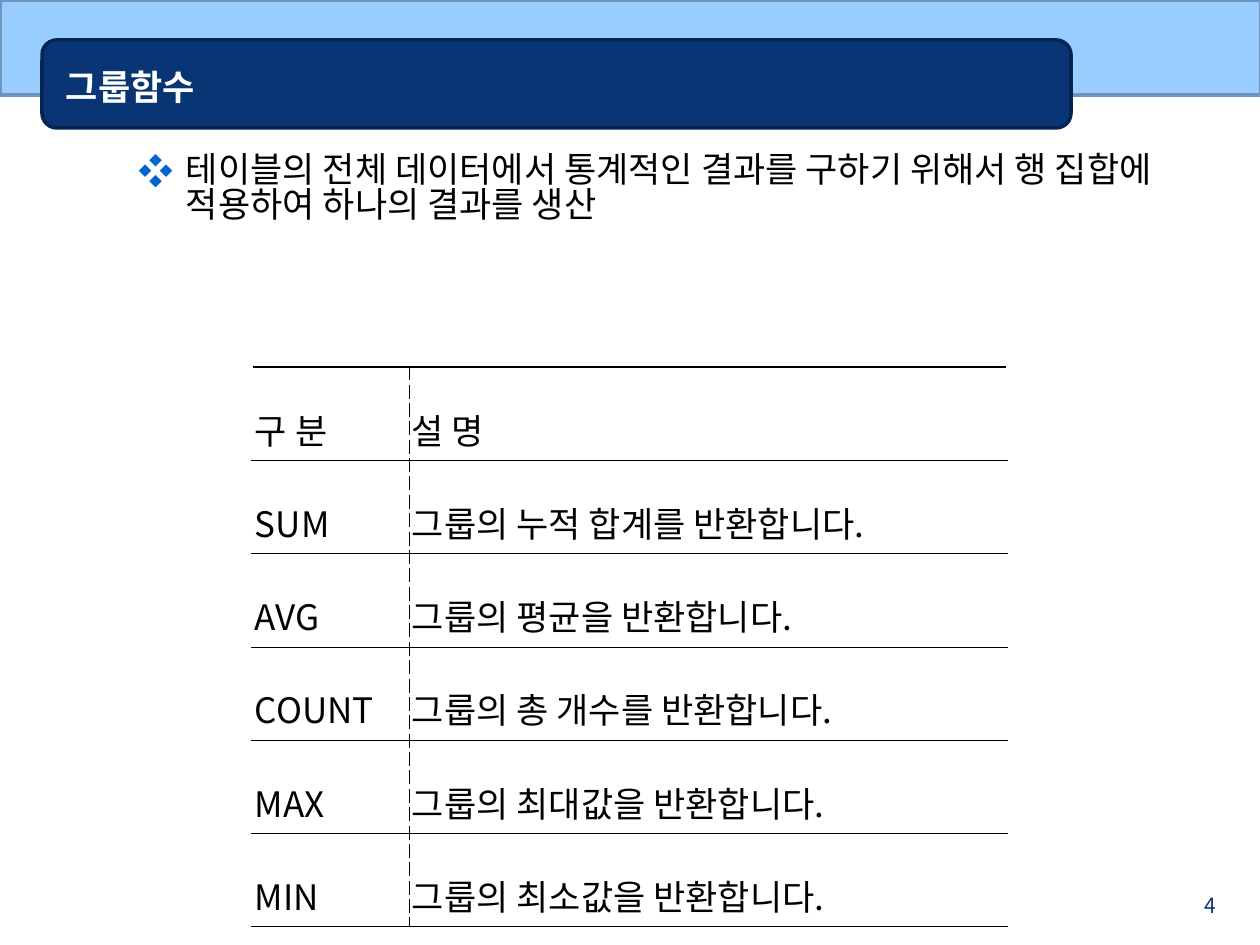
from lxml.etree import SubElement as Sub
from pptx import Presentation
from pptx.dml.color import RGBColor as RGB
from pptx.enum.shapes import MSO_SHAPE as Kind
from pptx.enum.text import MSO_ANCHOR as Anchor, MSO_AUTO_SIZE as Fit, PP_ALIGN as Align
from pptx.oxml.ns import qn
from pptx.util import Pt

# Content
TITLE = "그룹함수"
LEAD = "테이블의 전체 데이터에서 통계적인 결과를 구하기 위해서 행 집합에 적용하여 하나의 결과를 생산"
PAGE = "4"
ROWS = [
    ("구 분", "설 명"),
    ("SUM", "그룹의 누적 합계를 반환합니다."),
    ("AVG", "그룹의 평균을 반환합니다."),
    ("COUNT", "그룹의 총 개수를 반환합니다."),
    ("MAX", "그룹의 최대값을 반환합니다."),
    ("MIN", "그룹의 최소값을 반환합니다."),
]
COLS, ROW = (157, 598), 86


class Theme:
    font = "Noto Sans CJK KR"
    ink, white, navy, deep = "000000", "FFFFFF", "093575", "052454"
    sky, steel, blue = "99CCFF", "6F95BC", "0066CC"
    body, small = 20, 12
    edge, top, rule, dash = 2, 0.96, 0.11, 0.28


def px(n):
    return n * 914400 // 126


def put(frame, text, size=Theme.body, color=Theme.ink, bold=False,
        align=Align.LEFT, anchor=Anchor.TOP, space=None, pad=(13, 6)):
    frame.word_wrap = True
    frame.auto_size = Fit.NONE
    frame.vertical_anchor = anchor
    frame.margin_left = frame.margin_right = px(pad[0])
    frame.margin_top = frame.margin_bottom = px(pad[1])
    par = frame.paragraphs[0]
    par.alignment, par.line_spacing = align, space
    run = par.add_run()
    run.text = text
    font = run.font
    font.name, font.size, font.bold = Theme.font, Pt(size), bold
    font.color.rgb = RGB.from_string(color)
    Sub(run._r.get_or_add_rPr(), qn("a:ea"), typeface=Theme.font)
    return par


def bar(kind, box, fill, line):
    shape = slide.shapes.add_shape(kind, *map(px, box))
    shape.shadow.inherit = False
    shape.fill.solid()
    shape.fill.fore_color.rgb = RGB.from_string(fill)
    shape.line.color.rgb = RGB.from_string(line)
    shape.line.width = Pt(Theme.edge)


def border(cell, sides):
    props = cell._tc.get_or_add_tcPr()
    for i, (side, width, style) in enumerate(sides):
        line = Sub(props, qn("a:ln" + side), w=str(Pt(width)))
        fill = Sub(line, qn("a:solidFill"))
        Sub(fill, qn("a:srgbClr"), val=Theme.ink)
        Sub(line, qn("a:prstDash"), val=style)
        props.insert(i, line)


deck = Presentation()
deck.slide_width, deck.slide_height = px(1260), px(945)
slide = deck.slides.add_slide(deck.slide_layouts[5])

# Header bars and title
bar(Kind.RECTANGLE, (0, 0, 1261, 95), Theme.sky, Theme.steel)
bar(Kind.ROUNDED_RECTANGLE, (42, 40, 1029, 88), Theme.navy, Theme.deep)
title = slide.shapes.title
title.left, title.top, title.width, title.height = map(px, (53, 42, 1029, 89))
put(title.text_frame, TITLE, color=Theme.white, bold=True, anchor=Anchor.MIDDLE)
slide.shapes._spTree.append(title._element)

# Page number
page = slide.shapes.add_textbox(*map(px, (1166, 887, 63, 26)))
put(page.text_frame, PAGE, size=Theme.small, color=Theme.navy, align=Align.RIGHT)

# Lead paragraph with bullet
lead = slide.shapes.add_textbox(*map(px, (126, 149, 1061, 146)))
par = put(lead.text_frame, LEAD, space=0.83)
props = par._p.get_or_add_pPr()
props.set("marL", str(px(47)))
props.set("indent", str(px(-47)))
Sub(Sub(props, qn("a:buClr")), qn("a:srgbClr"), val=Theme.blue)
Sub(props, qn("a:buFont"), typeface=Theme.font)
Sub(props, qn("a:buChar"), char="❖")

# Function table
table = slide.shapes.add_table(
    len(ROWS), len(COLS), *map(px, (252, 367, sum(COLS), ROW * len(ROWS)))).table
table.first_row = table.horz_banding = False
for col, width in zip(table.columns, COLS):
    col.width = px(width)
for r, texts in enumerate(ROWS):
    table.rows[r].height = px(ROW)
    for c, text in enumerate(texts):
        cell = table.cell(r, c)
        put(cell.text_frame, text, align=Align.JUSTIFY, space=1.6)
        cell.vertical_anchor = Anchor.MIDDLE
        cell.margin_left = cell.margin_right = px(3)
        cell.margin_top = cell.margin_bottom = px(6)
        cell.fill.solid()
        cell.fill.fore_color.rgb = RGB.from_string(Theme.white)
        border(cell, [("L" if c else "R", Theme.dash, "dash"),
                      ("T", Theme.rule if r else Theme.top, "solid"),
                      ("B", Theme.rule, "solid")])

deck.save("out.pptx")
